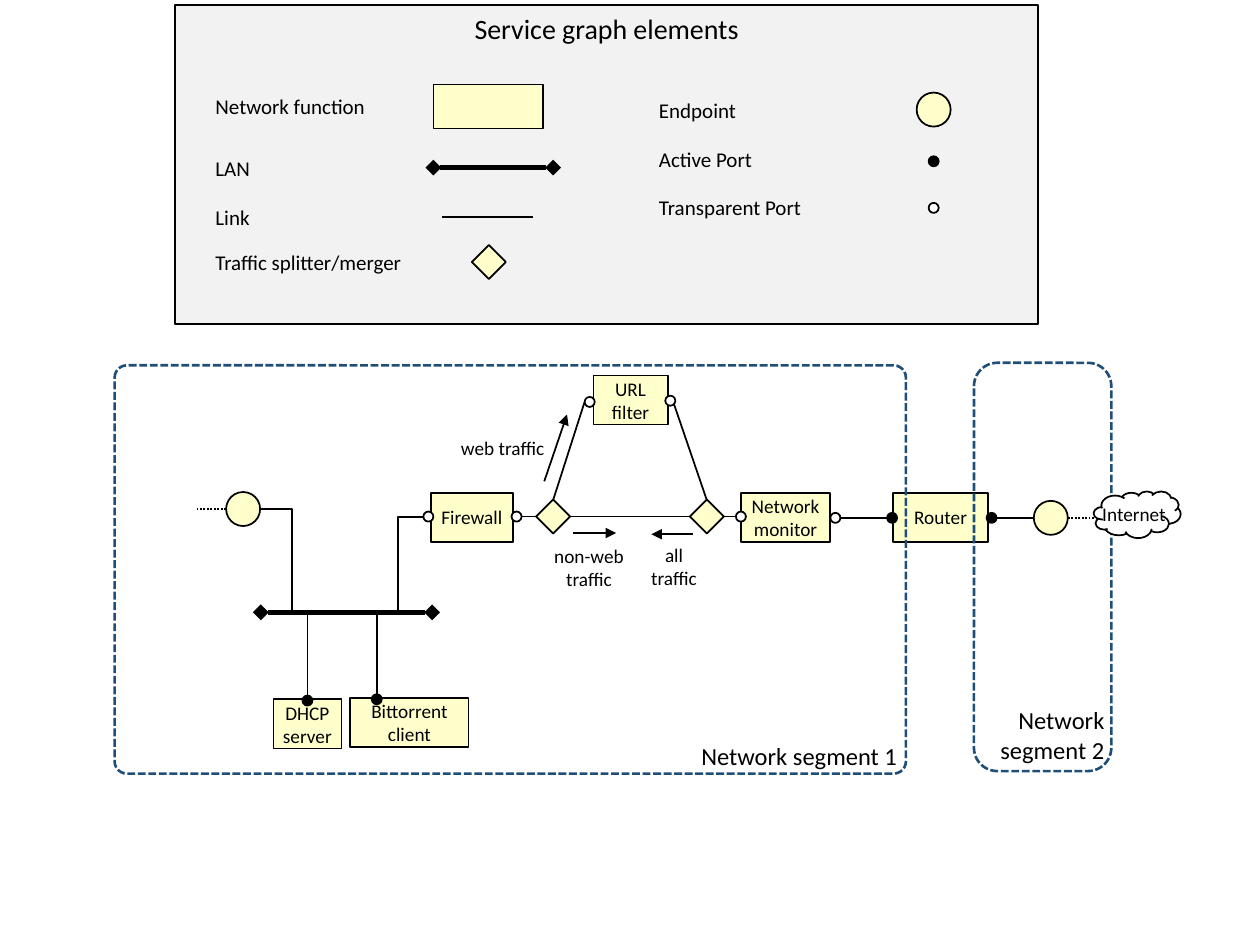
from lxml import etree
from pptx import Presentation
from pptx.dml.color import RGBColor
from pptx.enum.dml import MSO_LINE
from pptx.enum.shapes import MSO_CONNECTOR, MSO_SHAPE
from pptx.enum.text import MSO_ANCHOR, PP_ALIGN
from pptx.oxml.ns import qn
from pptx.util import Inches, Pt

RECTANGLE, ROUNDED = MSO_SHAPE.RECTANGLE, MSO_SHAPE.ROUNDED_RECTANGLE
CIRCLE, DIAMOND, CLOUD = MSO_SHAPE.OVAL, MSO_SHAPE.DIAMOND, MSO_SHAPE.CLOUD
STRAIGHT, ELBOW = MSO_CONNECTOR.STRAIGHT, MSO_CONNECTOR.ELBOW
DASHED, DOTTED = MSO_LINE.SQUARE_DOT, MSO_LINE.ROUND_DOT
TOP, MIDDLE, BOTTOM = MSO_ANCHOR.TOP, MSO_ANCHOR.MIDDLE, MSO_ANCHOR.BOTTOM
LEFT, CENTER, RIGHT = PP_ALIGN.LEFT, PP_ALIGN.CENTER, PP_ALIGN.RIGHT

BLACK, WHITE, CREAM, GREY, NAVY = "000000", "FFFFFF", "FFFFCC", "F2F2F2", "1F4E79"
SYMBOL, PORT, BOX_HEIGHT, LABEL_HEIGHT = 0.27, 0.08, 0.39, 0.28
TIGHT = (0.04,) * 4
NORMAL = (0.1, 0.05, 0.1, 0.05)

LEGEND_COLUMNS = [
    (1.67, [("Network function", 0.84), ("LAN", 1.33), ("Link", 1.72),
            ("Traffic splitter/merger", 2.08)]),
    (5.19, [("Endpoint", 0.87), ("Active Port", 1.26), ("Transparent Port", 1.64)]),
]
FUNCTIONS = [
    ("DHCP server", 2.17, 5.55, 0.54),
    ("Bittorrent client", 2.78, 5.54, 0.94),
    ("Firewall", 3.42, 3.91, 0.65),
    ("URL filter", 4.71, 2.98, 0.59),
    ("Network monitor", 5.88, 3.91, 0.71),
    ("Router", 7.09, 3.91, 0.75),
]
LANS = [((3.44, 1.33), (4.39, 1.33)), ((2.07, 4.86), (3.43, 4.86))]
LINKS = [
    ((4.23, 1.72), (3.51, 1.72)),
    ((2.44, 5.52), (2.44, 4.85)),
    ((2.99, 5.51), (2.99, 4.86)),
    ((4.39, 3.97), (4.64, 3.19)),
    ((5.61, 3.97), (5.35, 3.21)),
    ((5.84, 4.1), (4.14, 4.1)),
    ((7.04, 4.11), (6.66, 4.11)),
    ((8.2, 4.11), (7.91, 4.11)),
]
OUTER_LINKS = [((1.56, 4.04), (1.79, 4.04)), ((8.71, 4.11), (8.47, 4.11))]
FLOWS = [((4.32, 3.82), (4.5, 3.29)), ((4.55, 4.23), (4.89, 4.23)), ((5.5, 4.24), (5.17, 4.24))]
FLOW_LABELS = [
    ("web traffic", 3.56, 3.41, 0.88, 0.29, LEFT, False),
    ("non-web traffic", 4.27, 4.27, 0.81, 0.47, CENTER, True),
    ("all traffic", 5.05, 4.26, 0.6, 0.47, CENTER, True),
]
ACTIVE_PORTS = [(7.41, 1.28), (2.44, 5.56), (2.99, 5.55), (7.08, 4.11), (7.87, 4.11)]
TRANSPARENT_PORTS = [(7.41, 1.65), (3.4, 4.1), (4.1, 4.1), (4.68, 3.19), (5.32, 3.18),
                     (5.88, 4.1), (6.63, 4.11)]
ENDPOINTS = [(7.41, 0.87), (1.93, 4.04), (8.34, 4.11)]
SPLITTERS = [(3.88, 2.08), (4.39, 4.1), (5.61, 4.1)]
SEGMENTS = [
    ("Network segment 1", 0.91, 2.9, 6.28, 0.03, (0.1, 0, 0.04, 0)),
    ("Network segment 2", 7.73, 2.88, 1.09, 0.17, (0, 0, 0, 0)),
]

presentation = Presentation()
presentation.slide_width, presentation.slide_height = Inches(10), Inches(7.5)
slide = presentation.slides.add_slide(presentation.slide_layouts[6])


def color(value):
    return RGBColor.from_string(value)


def write(shape, text, size, align=CENTER, anchor=MIDDLE, insets=TIGHT, wrap=True):
    frame = shape.text_frame
    frame.text = text
    frame.word_wrap = wrap
    frame.vertical_anchor = anchor
    (frame.margin_left, frame.margin_top,
     frame.margin_right, frame.margin_bottom) = map(Inches, insets)
    paragraph = frame.paragraphs[0]
    paragraph.alignment = align
    font = paragraph.runs[0].font
    font.name, font.size, font.color.rgb = "Calibri", Pt(size), color(BLACK)


def add_label(text, left, top, width, height, size, **style):
    box = slide.shapes.add_textbox(*map(Inches, (left, top, width, height)))
    write(box, text, size, **style)


def add_shape(kind, left, top, width, height, fill=CREAM):
    shape = slide.shapes.add_shape(kind, *map(Inches, (left, top, width, height)))
    shape.shadow.inherit = False
    if fill:
        shape.fill.solid()
        shape.fill.fore_color.rgb = color(fill)
    else:
        shape.fill.background()
    shape.line.color.rgb, shape.line.width = color(BLACK), Pt(1)
    return shape


def add_symbols(kind, centers, size, fill=CREAM):
    for x, y in centers:
        add_shape(kind, x - size / 2, y - size / 2, size, size, fill)


def add_line(start, end, kind=STRAIGHT, width=1, head=None, tail=None, dash=None):
    connector = slide.shapes.add_connector(kind, *map(Inches, start + end))
    connector.line.color.rgb, connector.line.width = color(BLACK), Pt(width)
    if dash:
        connector.line.dash_style = dash
    properties = connector._element.spPr
    outline = properties.find(qn("a:ln"))
    for tag, arrow in (("a:headEnd", head), ("a:tailEnd", tail)):
        if arrow:
            etree.SubElement(outline, qn(tag), type=arrow)
    etree.SubElement(properties, qn("a:effectLst"))
    if kind == ELBOW:
        properties.find(qn("a:prstGeom")).set("prst", "bentConnector2")
    return connector


panel = add_shape(RECTANGLE, 1.39, 0.04, 6.85, 2.53, GREY)
write(panel, "Service graph elements", 16, anchor=TOP, insets=NORMAL)
for left, entries in LEGEND_COLUMNS:
    for text, middle in entries:
        add_label(text, left, middle - LABEL_HEIGHT / 2, 1.84, LABEL_HEIGHT, 12, align=LEFT)
add_shape(RECTANGLE, 3.44, 0.67, 0.87, 0.35)

boxes = {}
for text, left, top, width in FUNCTIONS:
    boxes[text] = add_shape(RECTANGLE, left, top, width, BOX_HEIGHT)
    write(boxes[text], text, 11)

for start, end in LANS:
    add_line(start, end, width=3, head="diamond", tail="diamond")
for start, end in LINKS:
    add_line(start, end)
add_line((2.07, 4.04), (2.32, 4.85), ELBOW)
add_line((3.42, 4.1), (3.16, 4.85), ELBOW).begin_connect(boxes["Firewall"], 1)

add_symbols(CIRCLE, ACTIVE_PORTS, PORT, BLACK)
add_symbols(CIRCLE, TRANSPARENT_PORTS, PORT, WHITE)
add_symbols(CIRCLE, ENDPOINTS, SYMBOL)
add_symbols(DIAMOND, SPLITTERS, SYMBOL)

for text, left, top, width, rounding, insets in SEGMENTS:
    segment = add_shape(ROUNDED, left, top, width, 3.24, None)
    segment.adjustments[0] = rounding
    segment.line.color.rgb, segment.line.width = color(NAVY), Pt(1.5)
    segment.line.dash_style = DASHED
    write(segment, text, 14, RIGHT, BOTTOM, insets)

for start, end in FLOWS:
    add_line(start, end, tail="triangle")
for text, left, top, width, height, align, wrap in FLOW_LABELS:
    add_label(text, left, top, width, height, 11, align=align, anchor=TOP,
              insets=NORMAL, wrap=wrap)

cloud = add_shape(CLOUD, 8.68, 3.9, 0.69, 0.37, WHITE)
write(cloud, "Internet", 11, insets=(0, 0, 0, 0), wrap=False)
for start, end in OUTER_LINKS:
    add_line(start, end, dash=DOTTED)

presentation.save("out.pptx")
